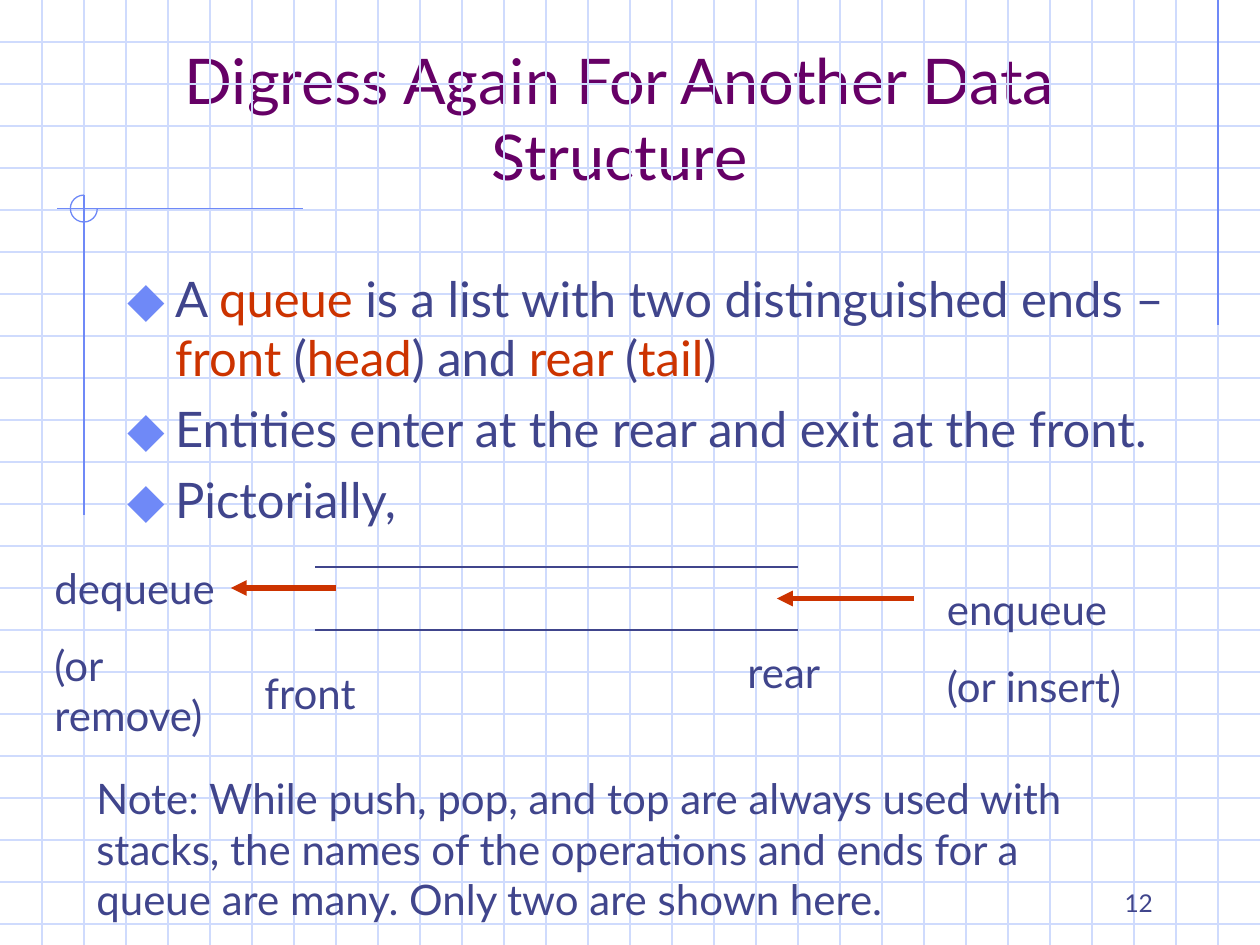
import pptx
import pptx.util
import pptx.dml.color
import pptx.enum.shapes
import pptx.enum.text
import pptx.oxml
import pptx.oxml.ns
from lxml import etree

Pt = pptx.util.Pt
RGB = pptx.dml.color.RGBColor
ALIGN = pptx.enum.text.PP_ALIGN
ANCHOR = pptx.enum.text.MSO_ANCHOR
qn = pptx.oxml.ns.qn

GRID = RGB(0xCF, 0xDB, 0xFD)
ACCENT = RGB(0x6F, 0x89, 0xF7)
INK = RGB(0x40, 0x45, 0x8C)
RED = RGB(0xCC, 0x33, 0x00)
PLUM = RGB(0x66, 0x00, 0x66)

WIDTH, HEIGHT, CELL = 720, 540, 24


class SlideBuilder:
    """Draws elements on one slide; all lengths are in points."""
    font = "Lato"
    hang = 27

    def __init__(self, slide):
        self.s = slide

    def line(self, x1, y1, x2, y2, color, width=0.75, arrow=False):
        c = self.s.shapes.add_connector(
            pptx.enum.shapes.MSO_CONNECTOR.STRAIGHT, Pt(x1), Pt(y1), Pt(x2), Pt(y2))
        c.line.color.rgb = color
        c.line.width = Pt(width)
        if arrow:
            etree.SubElement(c.line._get_or_add_ln(), qn("a:tailEnd"), type="triangle")
        etree.SubElement(c._element.spPr, qn("a:effectLst"))

    def arc(self, x, y, size, color):
        """Three-quarter circle, open at the upper right."""
        sp = self.s.shapes.add_shape(
            pptx.enum.shapes.MSO_SHAPE.ARC, Pt(x), Pt(y), Pt(size), Pt(size))
        sp.adjustments[0] = 0
        sp.adjustments[1] = 162
        sp.shadow.inherit = False
        sp.fill.background()
        sp.line.color.rgb = color
        sp.line.width = Pt(0.75)

    def fill_text(self, sp, paragraphs, size, before=0, align=ALIGN.LEFT,
                  anchor=ANCHOR.TOP, bullet=None):
        """Each paragraph is a list of (text, colour) runs."""
        tf = sp.text_frame
        tf.word_wrap = True
        tf.auto_size = pptx.enum.text.MSO_AUTO_SIZE.NONE
        tf.vertical_anchor = anchor
        tf.margin_left = tf.margin_right = Pt(7.2)
        tf.margin_top = tf.margin_bottom = Pt(3.6)
        for i, runs in enumerate(paragraphs):
            p = tf.add_paragraph() if i else tf.paragraphs[0]
            p.alignment = align
            p.space_before = Pt(before if i else 0)
            if bullet:
                self.add_bullet(p, bullet)
            for text, color in runs:
                r = p.add_run()
                r.text = text
                r.font.name = self.font
                r.font.size = Pt(size)
                r.font.color.rgb = color

    def add_bullet(self, p, char):
        pPr = p._p.get_or_add_pPr()
        pPr.set("marL", str(Pt(self.hang)))
        pPr.set("indent", str(-Pt(self.hang)))
        clr = etree.SubElement(pPr, qn("a:buClr"))
        etree.SubElement(clr, qn("a:srgbClr"), val=str(ACCENT))
        etree.SubElement(pPr, qn("a:buSzPct"), val="110000")
        etree.SubElement(pPr, qn("a:buFont"), typeface=self.font)
        etree.SubElement(pPr, qn("a:buChar"), char=char)

    def title(self, text, x, y, w, h):
        sp = self.s.shapes.title
        sp.left, sp.top, sp.width, sp.height = Pt(x), Pt(y), Pt(w), Pt(h)
        self.fill_text(sp, [[(text, PLUM)]], 36, align=ALIGN.CENTER, anchor=ANCHOR.BOTTOM)

    def text(self, paragraphs, x, y, w, h, size=24, **style):
        sp = self.s.shapes.add_textbox(Pt(x), Pt(y), Pt(w), Pt(h))
        self.fill_text(sp, paragraphs, size, **style)

    def label(self, x, y, w, h, *lines):
        self.text([[(line, INK)] for line in lines], x, y, w, h, before=15)


def draw_background(b):
    for y in range(CELL, HEIGHT, CELL):
        b.line(0, y, WIDTH, y, GRID)
    for x in range(CELL, WIDTH, CELL):
        b.line(x, 0, x, HEIGHT, GRID)
    b.line(696, 0, 696, 186, ACCENT)
    b.line(173, 119.2, 32.5, 119.2, ACCENT)
    b.line(48, 111.5, 48, 294.5, ACCENT)
    b.arc(40.2, 111.5, 15.4, ACCENT)


def draw_queue(b):
    for y in (324, 360):
        b.line(180, y, 456, y, INK)
    b.label(144, 378, 96, 36, "front")
    b.line(192, 336, 132, 336, RED, 3, arrow=True)
    b.label(24, 318, 132, 108.7, "dequeue", "(or remove)")
    b.line(522, 342, 444, 342, RED, 3, arrow=True)
    b.label(534, 330, 120, 108.7, "enqueue", "(or insert)")
    b.label(420, 366, 84, 36, "rear")


def main():
    prs = pptx.Presentation()
    prs.slide_width, prs.slide_height = Pt(WIDTH), Pt(HEIGHT)
    b = SlideBuilder(prs.slides.add_slide(prs.slide_layouts[5]))
    draw_background(b)
    b.title("Digress Again For Another Data Structure", 48, 24, 612, 90)
    b.text([
        [("A ", INK), ("queue ", RED),
         ("is a list with two distinguished ends – ", INK), ("front", RED),
         (" (", INK), ("head", RED), (") and ", INK), ("rear ", RED),
         ("(", INK), ("tail", RED), (")", INK)],
        [("Entities enter at the rear and exit at the front.", INK)],
        [("Pictorially,", INK)],
    ], 66, 150, 612, 324, size=28, before=7, bullet="⬥")
    draw_queue(b)
    b.label(48, 438, 612, 93.6,
            "Note: While push, pop, and top are always used with stacks, the names of "
            "the operations and ends for a queue are many. Only two are shown here.")
    b.text([[("12", INK)]], 516, 492, 150, 36, size=14,
           align=ALIGN.RIGHT, anchor=ANCHOR.BOTTOM)
    prs.save("out.pptx")


if __name__ == "__main__":
    main()
